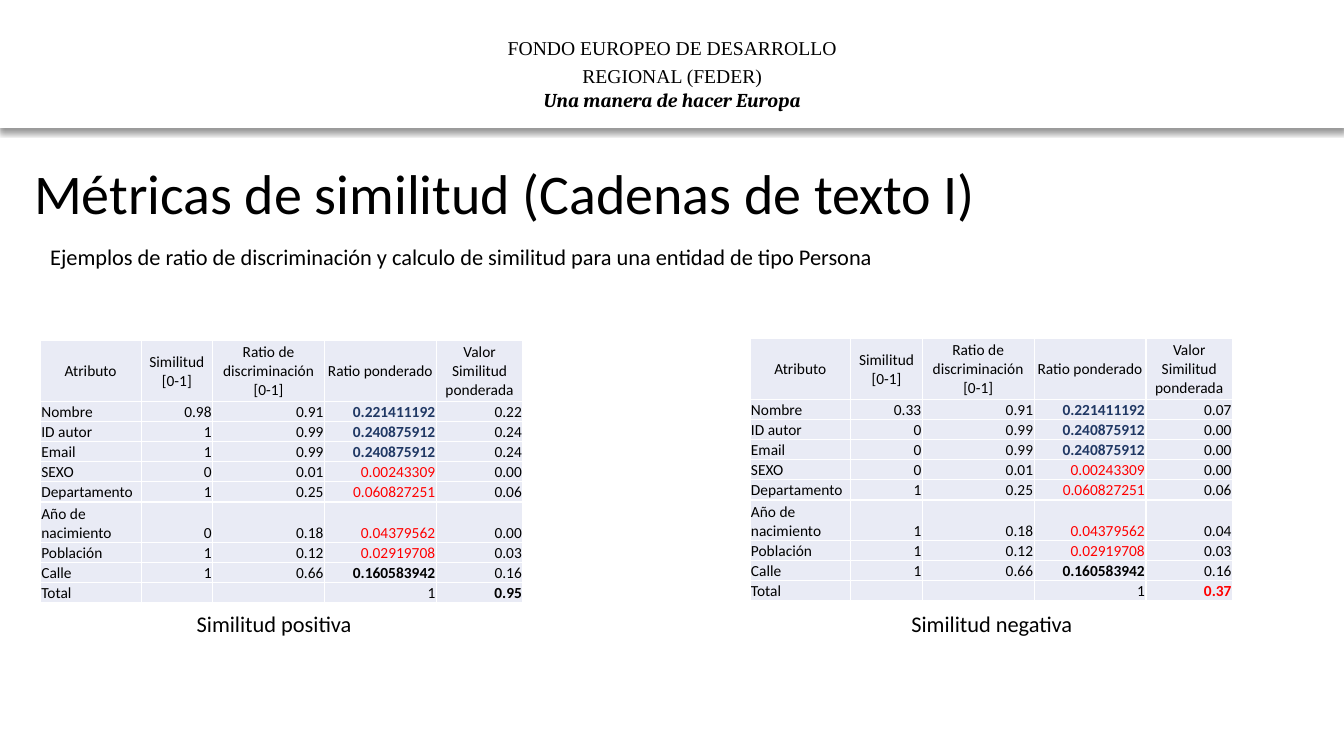
from dataclasses import dataclass

from lxml.etree import SubElement
from pptx import Presentation
from pptx.dml.color import RGBColor
from pptx.enum.shapes import MSO_SHAPE
from pptx.enum.text import MSO_ANCHOR, MSO_AUTO_SIZE, PP_ALIGN
from pptx.oxml import parse_xml
from pptx.oxml.ns import nsdecls, qn
from pptx.util import Pt


@dataclass(frozen=True)
class Theme:
    ink: str = "000000"
    paper: str = "FFFFFF"
    cell: str = "E9EBF5"
    strong: str = "203864"
    weak: str = "FF0000"
    body_font: str = "Calibri"
    fund_font: str = "Times New Roman"
    motto_font: str = "Cambria"
    title: int = 40
    text: int = 16
    banner: int = 14
    table: int = 11


THEME = Theme()

COLUMN_WIDTHS = [72, 51.1, 79.9, 79.9, 61.9]
HEADER_HEIGHT, LINE_HEIGHT = 43.2, 14.4
HEADINGS = ["Atributo", "Similitud [0-1]", "Ratio de discriminación [0-1]",
            "Ratio ponderado", "Valor Similitud ponderada"]

STRONG = {"color": THEME.strong, "bold": True}
WEAK = {"color": THEME.weak}
MEDIUM = {"bold": True}
# Attribute, discrimination ratio, weighted ratio, format of the weighted ratio
ATTRIBUTES = [
    ("Nombre", "0.91", "0.221411192", STRONG),
    ("ID autor", "0.99", "0.240875912", STRONG),
    ("Email", "0.99", "0.240875912", STRONG),
    ("SEXO", "0.01", "0.00243309", WEAK),
    ("Departamento", "0.25", "0.060827251", WEAK),
    ("Año de nacimiento", "0.18", "0.04379562", WEAK),
    ("Población", "0.12", "0.02919708", WEAK),
    ("Calle", "0.66", "0.160583942", MEDIUM),
    ("Total", "", "1", {}),
]

POSITIVE = {
    "similarities": ["0.98", "1", "1", "0", "1", "0", "1", "1", ""],
    "values": ["0.22", "0.24", "0.24", "0.00", "0.06", "0.00", "0.03", "0.16", "0.95"],
    "total_format": {"bold": True},
}
NEGATIVE = {
    "similarities": ["0.33", "0", "0", "0", "1", "1", "1", "1", ""],
    "values": ["0.07", "0.00", "0.00", "0.00", "0.06", "0.04", "0.03", "0.16", "0.37"],
    "total_format": {"bold": True, "color": THEME.weak},
}


def write(paragraph, text, align=PP_ALIGN.LEFT, color=THEME.ink, **font_format):
    paragraph.alignment = align
    run = paragraph.add_run()
    run.text = text
    run.font.color.rgb = RGBColor.from_string(color)
    for attribute, value in ({"name": THEME.body_font} | font_format).items():
        setattr(run.font, attribute, value)


def add_text_frame(slide, left, top, width, height):
    frame = slide.shapes.add_textbox(Pt(left), Pt(top), Pt(width), Pt(height)).text_frame
    frame.word_wrap = True
    frame.auto_size = MSO_AUTO_SIZE.SHAPE_TO_FIT_TEXT
    return frame


def add_line_of_text(slide, box, text, size, align=PP_ALIGN.LEFT):
    write(add_text_frame(slide, *box).paragraphs[0], text, align, size=Pt(size))


def add_banner(slide):
    """White strip with a soft shadow below it, carrying the fund's name and motto."""
    strip = slide.shapes.add_shape(MSO_SHAPE.RECTANGLE, 0, 0, Pt(960), Pt(90.7))
    strip.fill.solid()
    for color in (strip.fill.fore_color, strip.line.color):
        color.rgb = RGBColor.from_string(THEME.paper)
    strip.line.width = Pt(1)
    strip.shadow.inherit = False
    strip.element.spPr.find(qn("a:effectLst")).append(parse_xml(
        f'<a:outerShdw {nsdecls("a")} blurRad="{Pt(4)}" dist="{Pt(3)}" dir="5400000" '
        f'algn="t" rotWithShape="0"><a:srgbClr val="{THEME.ink}">'
        '<a:alpha val="40000"/></a:srgbClr></a:outerShdw>'))

    frame = add_text_frame(slide, 321.1, 18.7, 318.2, 64.8)
    fund = frame.paragraphs[0]
    fund.line_spacing = 1.2
    write(fund, "FONDO EUROPEO DE DESARROLLO REGIONAL (FEDER)", PP_ALIGN.CENTER,
          name=THEME.fund_font, size=Pt(THEME.banner))
    write(frame.add_paragraph(), "Una manera de hacer Europa", PP_ALIGN.CENTER,
          name=THEME.motto_font, size=Pt(THEME.banner), bold=True, italic=True)


def add_borders(cell):
    properties = cell._tc.get_or_add_tcPr()
    for position, side in enumerate(("lnL", "lnR", "lnT", "lnB")):
        properties.insert(position, parse_xml(
            f'<a:{side} {nsdecls("a")} w="{Pt(1)}"><a:solidFill>'
            f'<a:srgbClr val="{THEME.paper}"/></a:solidFill></a:{side}>'))


def fill_cell(cell, text, align, anchor, font_format):
    layout = {"margin_left": Pt(0.72), "margin_right": Pt(0.72), "margin_top": Pt(0.72),
              "margin_bottom": 0, "vertical_anchor": anchor}
    for attribute, value in layout.items():
        setattr(cell, attribute, value)
    cell.fill.solid()
    cell.fill.fore_color.rgb = RGBColor.from_string(THEME.cell)
    add_borders(cell)
    paragraph = cell.text_frame.paragraphs[0]
    if text:
        write(paragraph, text, align, **({"size": Pt(THEME.table)} | font_format))
    else:
        SubElement(paragraph._p, qn("a:endParaRPr"), sz=str(THEME.table * 100))


def similarity_rows(case):
    """Yield each body row as a list of (text, format) pairs."""
    for attribute, similarity, value in zip(ATTRIBUTES, case["similarities"], case["values"]):
        name, ratio, weighted, weighted_format = attribute
        value_format = case["total_format"] if name == "Total" else {}
        yield [(name, {}), (similarity, {}), (ratio, {}),
               (weighted, weighted_format), (value, value_format)]


def add_similarity_table(slide, left, top, case):
    heights = [HEADER_HEIGHT] + [
        LINE_HEIGHT * (2 if name == "Año de nacimiento" else 1) for name, *_ in ATTRIBUTES]
    table = slide.shapes.add_table(
        len(heights), len(COLUMN_WIDTHS), Pt(left), Pt(top),
        Pt(sum(COLUMN_WIDTHS)), Pt(sum(heights))).table
    table.first_row = table.horz_banding = False
    for column, width in zip(table.columns, COLUMN_WIDTHS):
        column.width = Pt(width)
    for row, height in zip(table.rows, heights):
        row.height = Pt(height)

    for cell, heading in zip(table.rows[0].cells, HEADINGS):
        fill_cell(cell, heading, PP_ALIGN.CENTER, MSO_ANCHOR.MIDDLE, {})
    for row_index, entries in enumerate(similarity_rows(case), start=1):
        for column_index, (text, font_format) in enumerate(entries):
            align = PP_ALIGN.RIGHT if column_index else PP_ALIGN.LEFT
            fill_cell(table.cell(row_index, column_index), text, align,
                      MSO_ANCHOR.BOTTOM, font_format)


def main():
    presentation = Presentation()
    presentation.slide_width, presentation.slide_height = Pt(960), Pt(540)
    slide = presentation.slides.add_slide(presentation.slide_layouts[6])

    add_banner(slide)
    add_line_of_text(slide, (17.3, 109.4, 926, 55.4),
                     "Métricas de similitud (Cadenas de texto I)", THEME.title)
    add_line_of_text(slide, (28.8, 169.9, 902.2, 38.9),
                     "Ejemplos de ratio de discriminación y calculo de similitud "
                     "para una entidad de tipo Persona", THEME.text)

    for table_left, table_top, case, caption_left, caption in (
            (28.8, 243.4, POSITIVE, 17.3, "Similitud positiva"),
            (535.7, 241.9, NEGATIVE, 529.9, "Similitud negativa")):
        add_similarity_table(slide, table_left, table_top, case)
        add_line_of_text(slide, (caption_left, 432, 357.1, 38.9), caption,
                         THEME.text, PP_ALIGN.CENTER)

    presentation.save("out.pptx")


if __name__ == "__main__":
    main()
